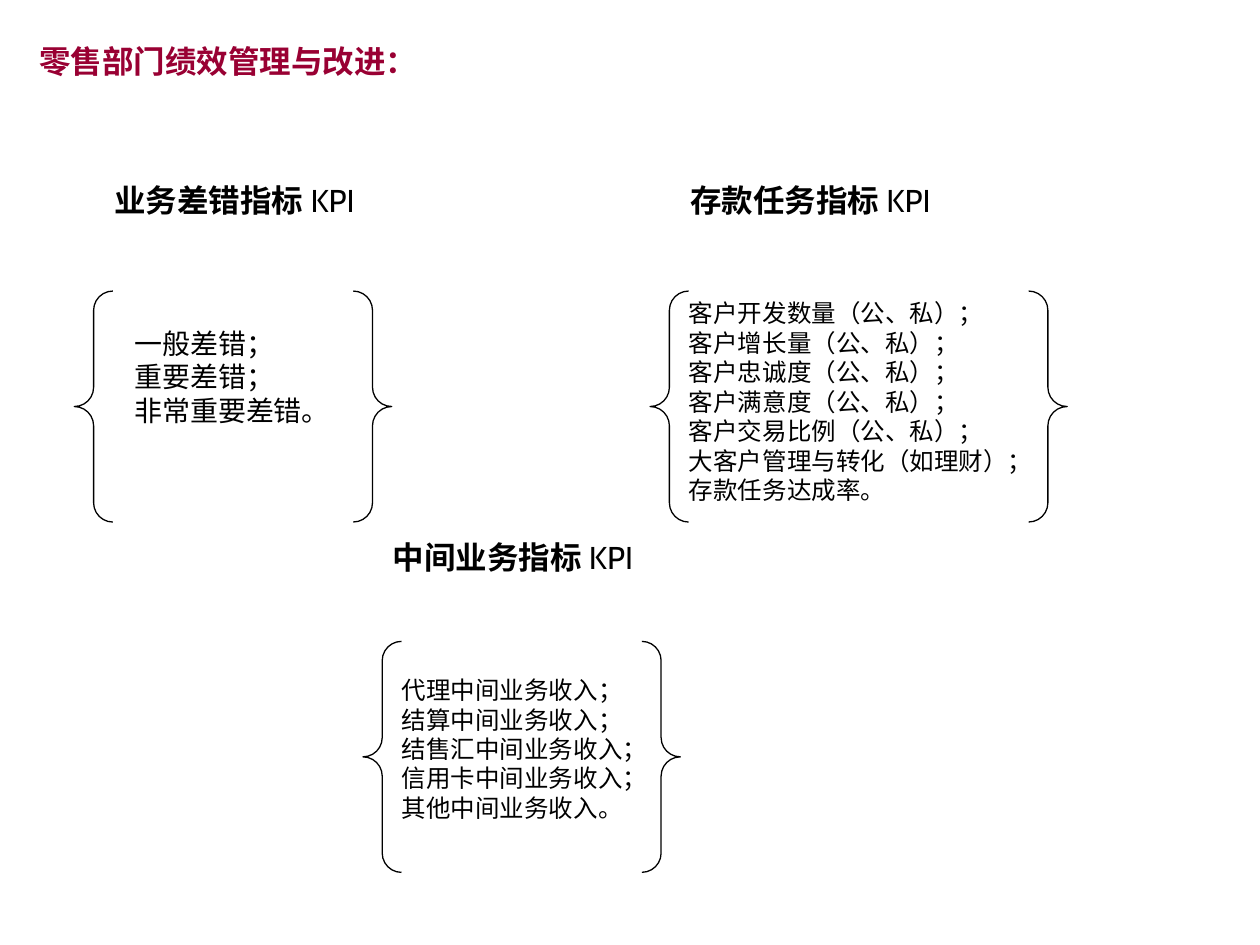
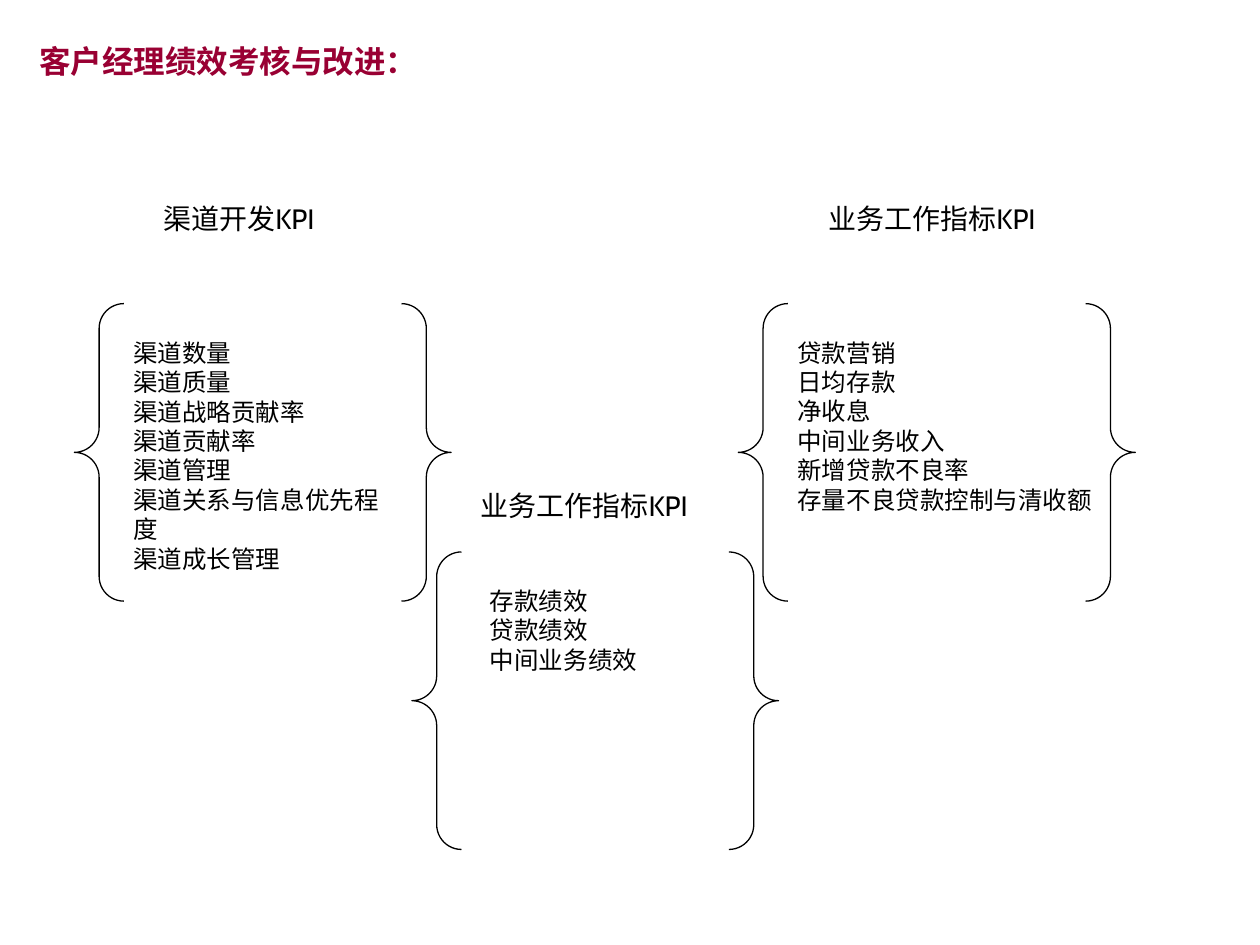
from dataclasses import dataclass

from lxml import etree
from pptx import Presentation
from pptx.dml.color import RGBColor
from pptx.enum import shapes, text
from pptx.oxml import ns
from pptx.util import Pt


# Theme: colours, fonts and sizes shared by both slides
@dataclass(frozen=True)
class Theme:
    title_color: RGBColor = RGBColor(0x99, 0x00, 0x33)
    ink: RGBColor = RGBColor(0, 0, 0)
    body_font: str = "Arial"
    kpi_font: str = "Cabin"
    cjk_font: str = "Noto Sans CJK SC"
    east_asian_font: str = "Cabin"
    title_size: float = 18
    line_factor: float = 1.2
    inset_x: float = 7.2
    inset_y: float = 3.6
    brace_line: float = 0.75


THEME = Theme()


@dataclass(frozen=True)
class RunStyle:
    size: float
    font: str = THEME.body_font
    bold: bool = False
    color: RGBColor = THEME.ink


@dataclass(frozen=True)
class Spot:
    left: float
    top: float
    width: float


@dataclass(frozen=True)
class KpiGroup:
    heading: str
    heading_at: Spot
    brace_at: Spot
    items_at: Spot
    items: tuple[str, ...]
    item_size: float = 14


@dataclass(frozen=True)
class KpiSlide:
    title: str
    heading_style: RunStyle
    brace_height: float
    groups: tuple[KpiGroup, ...]


TITLE_AT = Spot(15.1, 20.2, 230.4)
TITLE_STYLE = RunStyle(THEME.title_size, bold=True, color=THEME.title_color)

# Content
SLIDES = (
    KpiSlide(
        "零售部门绩效管理与改进：", RunStyle(18, bold=True), 132,
        (
            KpiGroup(
                "业务差错指标 ", Spot(58.3, 100.1, 159.1),
                Spot(42.5, 166.3, 181.4), Spot(69.8, 182.9, 126),
                ("一般差错；", "重要差错；", "非常重要差错。"), item_size=16),
            KpiGroup(
                "存款任务指标 ", Spot(387.4, 100.1, 159.1),
                Spot(371.5, 166.3, 238.3), Spot(386.6, 167, 211),
                ("客户开发数量（公、私）；", "客户增长量（公、私）；",
                 "客户忠诚度（公、私）；", "客户满意度（公、私）；",
                 "客户交易比例（公、私）；", "大客户管理与转化（如理财）；",
                 "存款任务达成率。")),
            KpiGroup(
                "中间业务指标 ", Spot(217.4, 303.8, 159.1),
                Spot(207.4, 366.5, 181.4), Spot(222.5, 382.3, 154.8),
                ("代理中间业务收入；", "结算中间业务收入；",
                 "结售汇中间业务收入；", "信用卡中间业务收入；",
                 "其他中间业务收入。")),
        ),
    ),
    KpiSlide(
        "客户经理绩效考核与改进：", RunStyle(16, THEME.cjk_font), 170,
        (
            KpiGroup(
                "渠道开发", Spot(86.4, 111.6, 107.3),
                Spot(42.5, 173.5, 215.3), Spot(69.1, 189.4, 168.5),
                ("渠道数量", "渠道质量", "渠道战略贡献率", "渠道贡献率",
                 "渠道管理", "渠道关系与信息优先程度", "渠道成长管理")),
            KpiGroup(
                "业务工作指标", Spot(466.6, 111.6, 139),
                Spot(421.9, 173.5, 226.8), Spot(448.6, 189.4, 182.9),
                ("贷款营销", "日均存款", "净收息", "中间业务收入",
                 "新增贷款不良率", "存量不良贷款控制与清收额")),
            KpiGroup(
                "业务工作指标", Spot(267.8, 275.8, 139),
                Spot(235.4, 315.4, 209.5), Spot(272.9, 331.2, 98.6),
                ("存款绩效", "贷款绩效", "中间业务绩效")),
        ),
    ),
)


# Text helpers
def text_height(lines: int, size: float) -> float:
    return lines * size * THEME.line_factor + 2 * THEME.inset_y


def set_up_frame(frame) -> None:
    frame.margin_left = frame.margin_right = Pt(THEME.inset_x)
    frame.margin_top = frame.margin_bottom = Pt(THEME.inset_y)
    frame.vertical_anchor = text.MSO_ANCHOR.TOP
    frame.word_wrap = False
    frame.auto_size = text.MSO_AUTO_SIZE.SHAPE_TO_FIT_TEXT


def add_run(paragraph, wording: str, style: RunStyle) -> None:
    paragraph.alignment = text.PP_ALIGN.LEFT
    run = paragraph.add_run()
    run.text = wording
    run.font.size = Pt(style.size)
    run.font.bold = style.bold
    run.font.color.rgb = style.color
    run.font.name = style.font
    east_asian = etree.SubElement(run.font._element, ns.qn("a:ea"))
    east_asian.set("typeface", THEME.east_asian_font)


def add_text(slide, spot: Spot, lines: int, size: float):
    box = slide.shapes.add_textbox(
        Pt(spot.left), Pt(spot.top), Pt(spot.width), Pt(text_height(lines, size)))
    set_up_frame(box.text_frame)
    return box.text_frame


# Slide parts
def set_title(slide, wording: str) -> None:
    title = slide.shapes.title
    title.left, title.top = Pt(TITLE_AT.left), Pt(TITLE_AT.top)
    title.width = Pt(TITLE_AT.width)
    title.height = Pt(text_height(1, TITLE_STYLE.size))
    set_up_frame(title.text_frame)
    add_run(title.text_frame.paragraphs[0], wording, TITLE_STYLE)


def add_heading(slide, group: KpiGroup, style: RunStyle) -> None:
    heading = add_text(slide, group.heading_at, 1, style.size).paragraphs[0]
    add_run(heading, group.heading, style)
    add_run(heading, "KPI", RunStyle(style.size, THEME.kpi_font))


def add_braces(slide, spot: Spot, height: float) -> None:
    braces = slide.shapes.add_shape(
        shapes.MSO_SHAPE.DOUBLE_BRACE,
        Pt(spot.left), Pt(spot.top), Pt(spot.width), Pt(height))
    braces.shadow.inherit = False
    braces.fill.background()
    braces.line.color.rgb = THEME.ink
    braces.line.width = Pt(THEME.brace_line)


def add_items(slide, group: KpiGroup) -> None:
    frame = add_text(slide, group.items_at, len(group.items), group.item_size)
    for index, item in enumerate(group.items):
        paragraph = frame.add_paragraph() if index else frame.paragraphs[0]
        add_run(paragraph, item, RunStyle(group.item_size))


def add_kpi_slide(deck, content: KpiSlide) -> None:
    slide = deck.slides.add_slide(deck.slide_layouts.get_by_name("Title Only"))
    set_title(slide, content.title)
    for group in content.groups:
        add_heading(slide, group, content.heading_style)
        add_braces(slide, group.brace_at, content.brace_height)
        add_items(slide, group)


def main() -> None:
    deck = Presentation()
    deck.slide_width, deck.slide_height = Pt(720), Pt(540)
    for content in SLIDES:
        add_kpi_slide(deck, content)
    deck.save("out.pptx")


if __name__ == "__main__":
    main()
